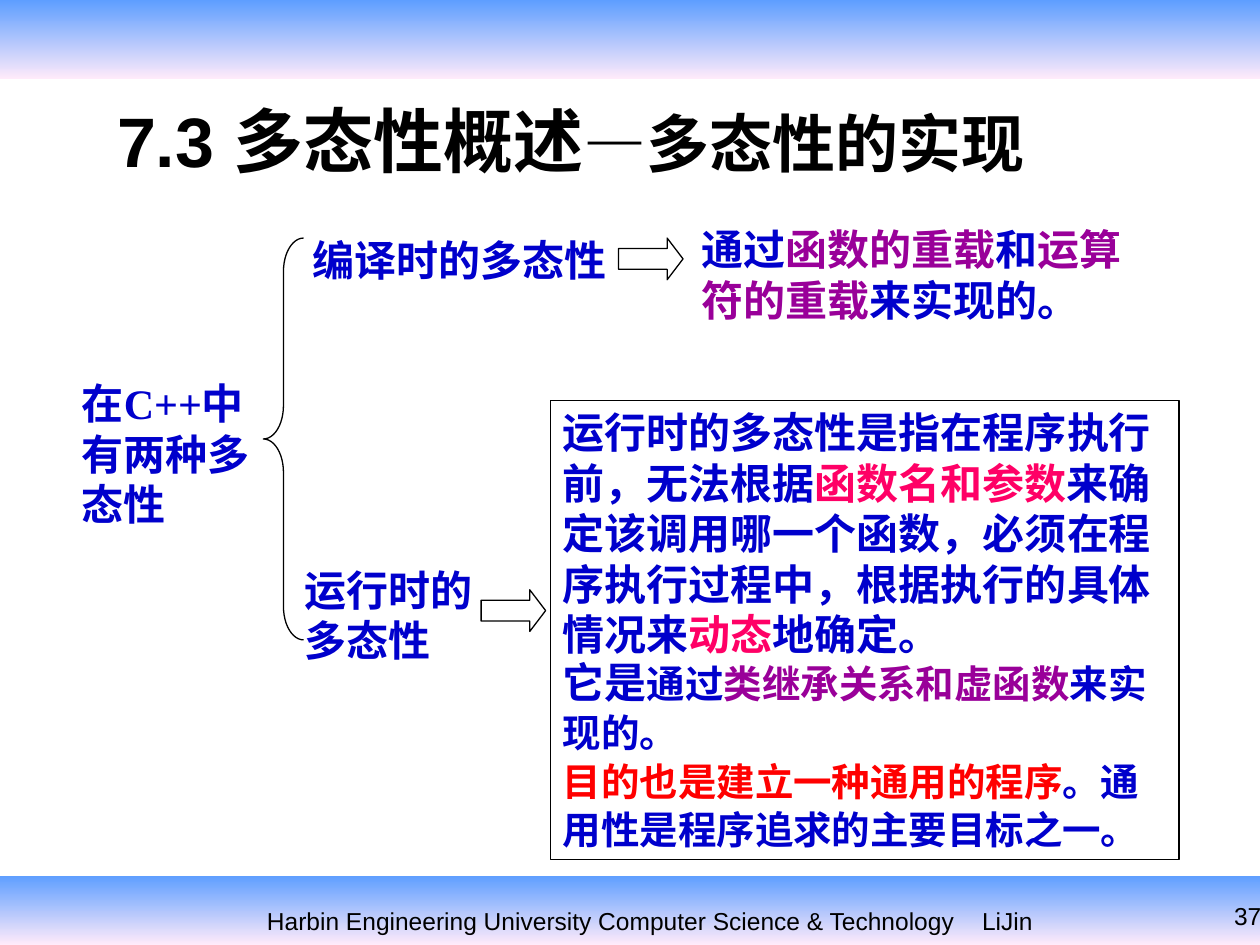
from lxml import etree
from pptx import Presentation
from pptx import util as u
from pptx.dml.color import RGBColor
from pptx.enum import shapes, text
from pptx.oxml.ns import qn

BLACK = RGBColor(0x00, 0x00, 0x00)
BLUE = RGBColor(0x00, 0x00, 0xCC)
PURPLE = RGBColor(0x99, 0x00, 0x99)
PINK = RGBColor(0xFF, 0x00, 0x66)
RED = RGBColor(0xFF, 0x00, 0x00)
SKY = RGBColor(0x5E, 0x9E, 0xFF)
BLUSH = RGBColor(0xFF, 0xEB, 0xFA)
CJK = "Noto Sans CJK SC"
SERIF = "Times New Roman"

# Content: a paragraph is (line spacing in points, runs),
# a run is (words, colour, size, font)
TITLE = [(None, [("7.3 多态性概述", BLACK, 40, "Arial"),
                 ("—多态性的实现", BLACK, 36, "Arial")])]
ROOT = [(28.8, [("在", BLUE, 24, CJK), ("C++", BLUE, 24, SERIF),
                ("中有两种多态性", BLUE, 24, CJK)])]
COMPILE_TIME = [(28.8, [("编译时的多态性", BLUE, 24, CJK)])]
RUN_TIME = [(28.8, [("运行时的多态性", BLUE, 24, CJK)])]
COMPILE_NOTE = [(28.8, [
    ("通过", BLUE, 24, "Arial"), ("函数的重载", PURPLE, 24, "Arial"),
    ("和", BLUE, 24, "Arial"), ("运算符的重载", PURPLE, 24, "Arial"),
    ("来实现的。", BLUE, 24, "Arial")])]
RUN_NOTE = [
    (28.8, [("运行时的多态性是指在程序执行前，无法根据", BLUE, 24, CJK),
            ("函数名和参数", PINK, 24, CJK),
            ("来确定该调用哪一个函数，必须在程序执行过程中，根据执行的具体情况来", BLUE, 24, CJK),
            ("动态", PINK, 24, CJK), ("地确定。", BLUE, 24, CJK)]),
    (27.6, [("它是", BLUE, 24, CJK), ("通过", BLUE, 22, "Arial"),
            ("类继承关系和虚函数", PURPLE, 22, "Arial"),
            ("来实现的。", BLUE, 22, "Arial")]),
    (27.6, [("目的也是建立一种通用的程序", RED, 22, "Arial"),
            ("。通用性是程序追求的主要目标之一。", BLUE, 22, "Arial")]),
]
PAGE_NUMBER = [(None, [("37", BLACK, 14, "Arial")])]
FOOTER = [(None, [("Harbin Engineering University Computer Science & Technology",
                   BLACK, 14, "Arial"),
                  (" ", BLACK, 14, "Arial"), ("LiJin", BLACK, 14, "Arial")])]

# Places in cm: left, top, width, height
BANDS = [(0, 0, 25.4, 1.6), (0, 17.65, 25.4, 1.4)]
ARROWS = [(9.7, 11.89, 1.3, 0.84), (12.47, 4.8, 1.3, 0.84)]
BRACE = (5.31, 4.8, 0.81, 8.1)
RUN_NOTE_BOX = (11.1, 8.08, 12.67, 9.25)

presentation = Presentation()
presentation.slide_width, presentation.slide_height = u.Cm(25.4), u.Cm(19.05)
slide = presentation.slides.add_slide(presentation.slide_layouts[6])


def add_shape(kind, place, adjustments=()):
    shape = slide.shapes.add_shape(kind, *map(u.Cm, place))
    shape.shadow.inherit = False
    shape.fill.background()
    shape.line.color.rgb = BLACK
    shape.line.width = u.Pt(0.75)
    for index, value in enumerate(adjustments):
        shape.adjustments[index] = value
    return shape


def write(shape, paragraphs, bold=True, align=text.PP_ALIGN.LEFT,
          anchor=text.MSO_ANCHOR.TOP, wrap=True):
    frame = shape.text_frame
    frame.word_wrap = wrap
    frame.vertical_anchor = anchor
    for index, (spacing, runs) in enumerate(paragraphs):
        paragraph = frame.add_paragraph() if index else frame.paragraphs[0]
        paragraph.alignment = align
        if spacing:
            paragraph.line_spacing = u.Pt(spacing)
        for words, colour, size, font in runs:
            run = paragraph.add_run()
            run.text = words
            run.font.name = font
            run.font.size = u.Pt(size)
            run.font.bold = bold
            run.font.color.rgb = colour
            properties = run._r.get_or_add_rPr()
            etree.SubElement(properties, qn("a:ea"), typeface=CJK)
            if words == " ":  # widen the gap before the author
                properties.set("spc", "1170")


def add_text(place, paragraphs, **options):
    write(slide.shapes.add_textbox(*map(u.Cm, place)), paragraphs, **options)


# Gradient bands
for place in BANDS:
    band = add_shape(shapes.MSO_SHAPE.RECTANGLE, place)
    band.line.fill.background()
    band.fill.gradient()
    band.fill.gradient_angle = 270
    for stop, colour in zip(band.fill.gradient_stops, (SKY, BLUSH)):
        stop.color.rgb = colour

# Footer and title
add_text((22.91, 18.03, 2.77, 0.86), PAGE_NUMBER, bold=False,
         align=text.PP_ALIGN.RIGHT, wrap=False)
add_text((2.9, 18.14, 20.4, 0.91), FOOTER, bold=False, align=text.PP_ALIGN.CENTER)
add_text((2.11, 1.75, 21.36, 2.11), TITLE, anchor=text.MSO_ANCHOR.MIDDLE)

# Tree of the two kinds
add_text((1.4, 7.49, 4.32, 3.3), ROOT)
add_shape(shapes.MSO_SHAPE.LEFT_BRACE, BRACE, (0.83, 0.5))
add_text((6.05, 4.6, 6.63, 1.27), COMPILE_TIME, wrap=False)
add_text((5.89, 11.25, 4.6, 2.29), RUN_TIME)
for place in ARROWS:
    add_shape(shapes.MSO_SHAPE.RIGHT_ARROW, place, (0.5, 0.38))

# Explanations
write(add_shape(shapes.MSO_SHAPE.RECTANGLE, RUN_NOTE_BOX), RUN_NOTE)
add_text((13.89, 4.39, 9.37, 2.29), COMPILE_NOTE)

presentation.save("out.pptx")
